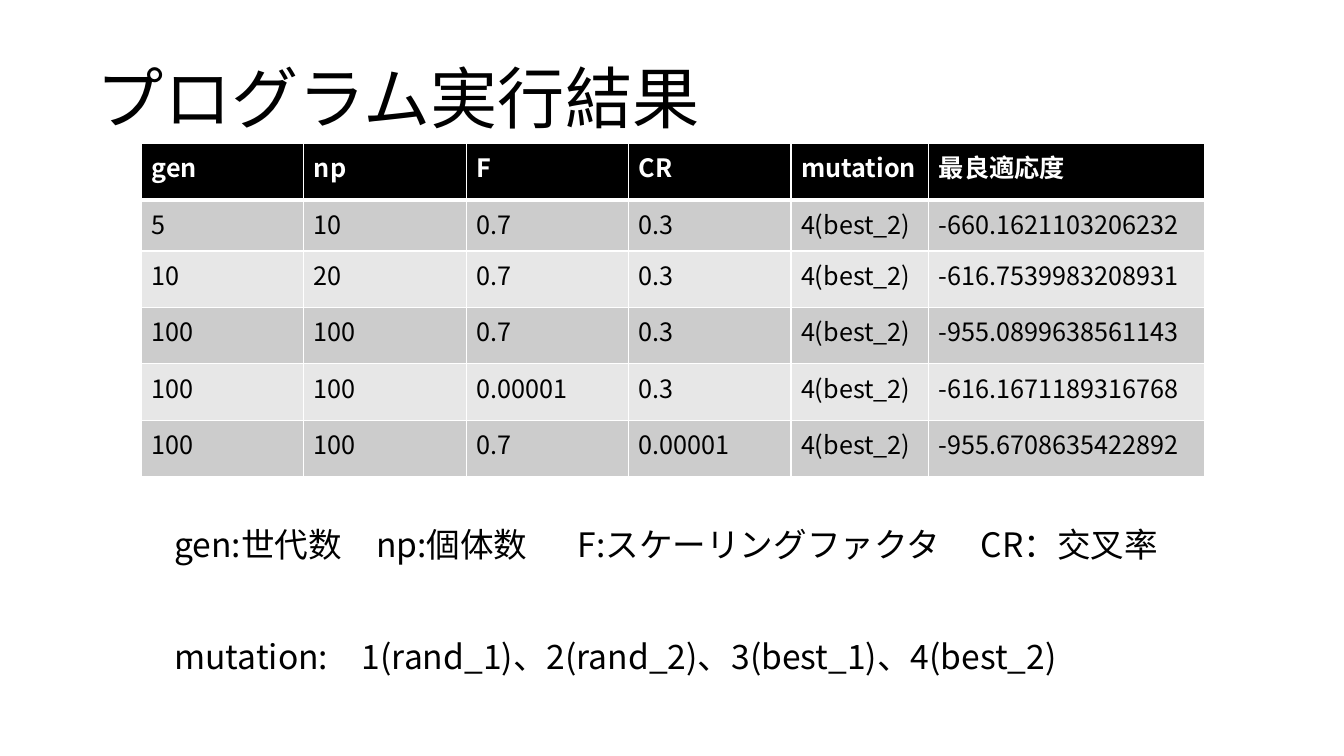
from lxml import etree
from pptx import Presentation
from pptx.dml.color import RGBColor
from pptx.enum import text as txt
from pptx.oxml import ns
from pptx.util import Pt

FONT = "Noto Sans CJK JP"
BLACK = RGBColor(0x00, 0x00, 0x00)
WHITE = RGBColor(0xFF, 0xFF, 0xFF)
DARK_BAND = RGBColor(0xCC, 0xCC, 0xCC)
LIGHT_BAND = RGBColor(0xE7, 0xE7, 0xE7)

RESULTS = [
    ("gen", "np", "F", "CR", "mutation", "最良適応度"),
    ("5", "10", "0.7", "0.3", "4(best_2)", "-660.1621103206232"),
    ("10", "20", "0.7", "0.3", "4(best_2)", "-616.7539983208931"),
    ("100", "100", "0.7", "0.3", "4(best_2)", "-955.0899638561143"),
    ("100", "100", "0.00001", "0.3", "4(best_2)", "-616.1671189316768"),
    ("100", "100", "0.7", "0.00001", "4(best_2)", "-955.6708635422892"),
]
COLUMN_WIDTHS = [116, 116, 116, 116, 98.5, 197]
ROW_HEIGHTS = [40.3, 36.5, 40.3, 40.3, 40.3, 40.3]
PARAMETERS = "gen:世代数\tnp:個体数\tF:スケーリングファクタ\tCR：交叉率"
MUTATIONS = "mutation:\u30001(rand_1)、2(rand_2)、3(best_1)、4(best_2)"
PARAMETER_STOPS = [144, 288, 576]


def format_runs(paragraph, size, color=BLACK, bold=False):
    for run in paragraph.runs:
        run.font.size = Pt(size)
        run.font.bold = bold
        run.font.color.rgb = color
        run.font.name = FONT
        east_asian = etree.SubElement(run._r.get_or_add_rPr(), ns.qn("a:ea"))
        east_asian.set("typeface", FONT)


def add_borders(cell, bottom=1, top=1):
    properties = cell._tc.get_or_add_tcPr()
    for side, width in (("L", 1), ("R", 1), ("T", top), ("B", bottom)):
        line = etree.SubElement(properties, ns.qn(f"a:ln{side}"), w=str(Pt(width)))
        fill = etree.SubElement(line, ns.qn("a:solidFill"))
        etree.SubElement(fill, ns.qn("a:srgbClr"), val=str(WHITE))


def add_tab_stops(paragraph, stops):
    tabs = etree.SubElement(paragraph._p.get_or_add_pPr(), ns.qn("a:tabLst"))
    for stop in stops:
        etree.SubElement(tabs, ns.qn("a:tab"), pos=str(Pt(stop)), algn="l")


def place_heading(slide, left, top, width, height):
    heading = slide.shapes.title
    heading.left, heading.top = Pt(left), Pt(top)
    heading.width, heading.height = Pt(width), Pt(height)
    frame = heading.text_frame
    frame.text = "プログラム実行結果"
    frame.auto_size = txt.MSO_AUTO_SIZE.NONE
    frame.vertical_anchor = txt.MSO_ANCHOR.BOTTOM
    paragraph = frame.paragraphs[0]
    paragraph.alignment = txt.PP_ALIGN.CENTER
    paragraph.line_spacing = 0.9
    format_runs(paragraph, 48)


def add_results(slide, left, top):
    results = slide.shapes.add_table(
        len(RESULTS), len(COLUMN_WIDTHS), Pt(left), Pt(top),
        Pt(sum(COLUMN_WIDTHS)), Pt(sum(ROW_HEIGHTS))).table
    for column, width in zip(results.columns, COLUMN_WIDTHS):
        column.width = Pt(width)
    for index, values in enumerate(RESULTS):
        header = index == 0
        band = BLACK if header else DARK_BAND if index % 2 else LIGHT_BAND
        results.rows[index].height = Pt(ROW_HEIGHTS[index])
        for cell, value in zip(results.rows[index].cells, values):
            add_borders(cell, bottom=3 if header else 1, top=3 if index == 1 else 1)
            cell.fill.solid()
            cell.fill.fore_color.rgb = band
            cell.text_frame.text = value
            format_runs(cell.text_frame.paragraphs[0], 18,
                        WHITE if header else BLACK, header)


def add_legend(slide, left, top, width, height):
    frame = slide.shapes.add_textbox(
        Pt(left), Pt(top), Pt(width), Pt(height)).text_frame
    frame.word_wrap = True
    parameters = frame.paragraphs[0]
    parameters.text = PARAMETERS
    add_tab_stops(parameters, PARAMETER_STOPS)
    mutations = frame.add_paragraph()
    mutations.text = MUTATIONS
    mutations.space_before = Pt(51)
    for paragraph in frame.paragraphs:
        format_runs(paragraph, 24)


def main():
    deck = Presentation()
    deck.slide_width, deck.slide_height = Pt(960), Pt(540)
    slide = deck.slides.add_slide(deck.slide_layouts[5])
    place_heading(slide, 30, 24.5, 509, 78)
    add_results(slide, 101, 102.5)
    add_legend(slide, 117.5, 371, 735, 160)
    deck.save("out.pptx")


if __name__ == "__main__":
    main()
